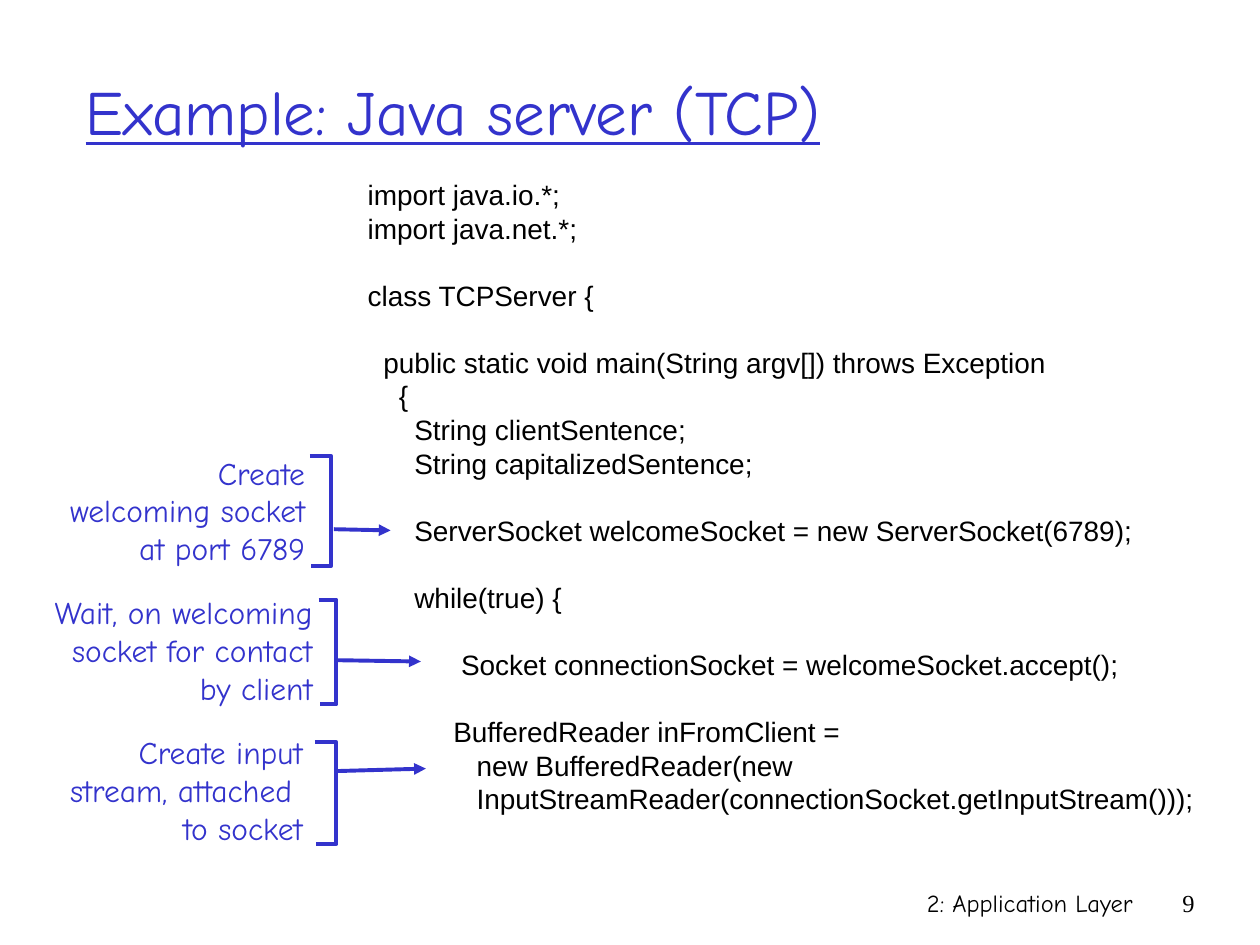
import dataclasses

import lxml.etree
import pptx
import pptx.dml.color
import pptx.enum.shapes
import pptx.enum.text
import pptx.oxml.ns
import pptx.util

Inches = pptx.util.Inches
Align = pptx.enum.text.PP_ALIGN
Anchor = pptx.enum.text.MSO_ANCHOR


@dataclasses.dataclass(frozen=True)
class Theme:
    accent: str = "3333CC"
    ink: str = "000000"
    heading_font: str = "Comic Neue"
    code_font: str = "Arial"
    number_font: str = "Times New Roman"
    title_size: float = 36
    label_size: float = 18
    code_size: float = 16
    footer_size: float = 14
    line_width: float = 2.25
    line_spacing: float = 1.2
    code_column: float = 0.0617


# Indent in character columns, blank lines before, code
CODE = [
    (0, 0, "import java.io.*;"),
    (0, 0, "import java.net.*;"),
    (0, 1, "class TCPServer {"),
    (2, 1, "public static void main(String argv[]) throws Exception"),
    (4, 0, "{"),
    (6, 0, "String clientSentence;"),
    (6, 0, "String capitalizedSentence;"),
    (6, 1, "ServerSocket welcomeSocket = new ServerSocket(6789);"),
    (6, 1, "while(true) {"),
    (12, 1, "Socket connectionSocket = welcomeSocket.accept();"),
    (11, 1, "BufferedReader inFromClient ="),
    (14, 0, "new BufferedReader(new"),
    (14, 0, "InputStreamReader(connectionSocket.getInputStream()));"),
]

# Label text, label box, bracket (left, top, right, bottom), arrow start and end
ANNOTATIONS = [
    ("Create\nwelcoming socket\nat port 6789",
     (0.45, 3.55, 2.07, 1), (2.46, 3.62, 2.63, 4.49), (2.65, 4.2, 3.1, 4.21)),
    ("Wait, on welcoming\nsocket for contact\nby client",
     (0.31, 4.66, 2.27, 1), (2.53, 4.76, 2.67, 5.59), (2.68, 5.24, 3.34, 5.25)),
    ("Create input\nstream, attached \nto socket",
     (0.45, 5.77, 2.05, 1), (2.5, 5.89, 2.67, 6.7), (2.67, 6.12, 3.38, 6.1)),
]


class SlideBuilder:
    def __init__(self, slide, theme):
        self.slide = slide
        self.theme = theme

    def format_text(self, text_frame, font_name, size, color, alignment=Align.LEFT):
        for paragraph in text_frame.paragraphs:
            paragraph.alignment = alignment
            for run in paragraph.runs:
                run.font.name = font_name
                run.font.size = pptx.util.Pt(size)
                run.font.color.rgb = pptx.dml.color.RGBColor.from_string(color)

    def text_box(self, box, text, wrap=True):
        shape = self.slide.shapes.add_textbox(*map(Inches, box))
        shape.text_frame.word_wrap = wrap
        shape.text_frame.text = text
        return shape.text_frame

    def title(self, box, text):
        shape = self.slide.shapes.title
        shape.left, shape.top, shape.width, shape.height = map(Inches, box)
        text_frame = shape.text_frame
        text_frame.text = text
        text_frame.vertical_anchor = Anchor.MIDDLE
        self.format_text(text_frame, self.theme.heading_font,
                         self.theme.title_size, self.theme.accent)
        text_frame.paragraphs[0].runs[0].font.underline = True

    def footer(self, box, text, font_name):
        self.format_text(self.text_box(box, text), font_name,
                         self.theme.footer_size, self.theme.ink, Align.RIGHT)

    def code(self, box, lines):
        theme = self.theme
        text_frame = self.text_box(box, "\n".join(text for _, _, text in lines))
        self.format_text(text_frame, theme.code_font, theme.code_size, theme.ink)
        line_height = theme.code_size * theme.line_spacing
        for paragraph, (columns, blanks, _) in zip(text_frame.paragraphs, lines):
            paragraph.line_spacing = pptx.util.Pt(line_height)
            paragraph.space_before = pptx.util.Pt(blanks * line_height)
            indent = Inches(columns * theme.code_column)
            paragraph._p.get_or_add_pPr().set("marL", str(indent))

    def label(self, box, text):
        theme = self.theme
        text_frame = self.text_box(box, text, wrap=False)
        text_frame.vertical_anchor = Anchor.MIDDLE
        self.format_text(text_frame, theme.heading_font, theme.label_size,
                         theme.accent, Align.RIGHT)
        for paragraph in text_frame.paragraphs:
            paragraph.line_spacing = pptx.util.Pt(theme.label_size * theme.line_spacing)

    def stroke(self, line):
        line.color.rgb = pptx.dml.color.RGBColor.from_string(self.theme.accent)
        line.width = pptx.util.Pt(self.theme.line_width)

    def bracket(self, left, top, right, bottom):
        """Draw an open bracket whose spine is on the right."""
        left, top, right, bottom = map(Inches, (left, top, right, bottom))
        builder = self.slide.shapes.build_freeform(left, top)
        builder.add_line_segments(
            [(right, top), (right, bottom), (left + Inches(0.01), bottom)], close=False)
        shape = builder.convert_to_shape()
        shape.shadow.inherit = False
        shape.fill.background()
        self.stroke(shape.line)

    def arrow(self, *ends):
        connector = self.slide.shapes.add_connector(
            pptx.enum.shapes.MSO_CONNECTOR.STRAIGHT, *map(Inches, ends))
        self.stroke(connector.line)
        qualified = pptx.oxml.ns.qn
        properties = connector._element.spPr
        lxml.etree.SubElement(properties.find(qualified("a:ln")),
                              qualified("a:tailEnd"), type="triangle")
        lxml.etree.SubElement(properties, qualified("a:effectLst"))


def main():
    presentation = pptx.Presentation()
    presentation.slide_width = Inches(10)
    presentation.slide_height = Inches(7.5)
    theme = Theme()
    slide = presentation.slides.add_slide(presentation.slide_layouts[5])
    builder = SlideBuilder(slide, theme)

    builder.footer((5.92, 7, 3.17, 0.5), "2: Application Layer", theme.heading_font)
    builder.footer((9.08, 7, 0.5, 0.5), "9", theme.number_font)
    builder.title((0.58, 0.25, 8.5, 1.25), "Example: Java server (TCP)")
    builder.code((2.82, 1.36, 6.81, 5.7), CODE)
    for text, box, bracket, arrow in ANNOTATIONS:
        builder.label(box, text)
        builder.bracket(*bracket)
        builder.arrow(*arrow)

    presentation.save("out.pptx")


if __name__ == "__main__":
    main()
